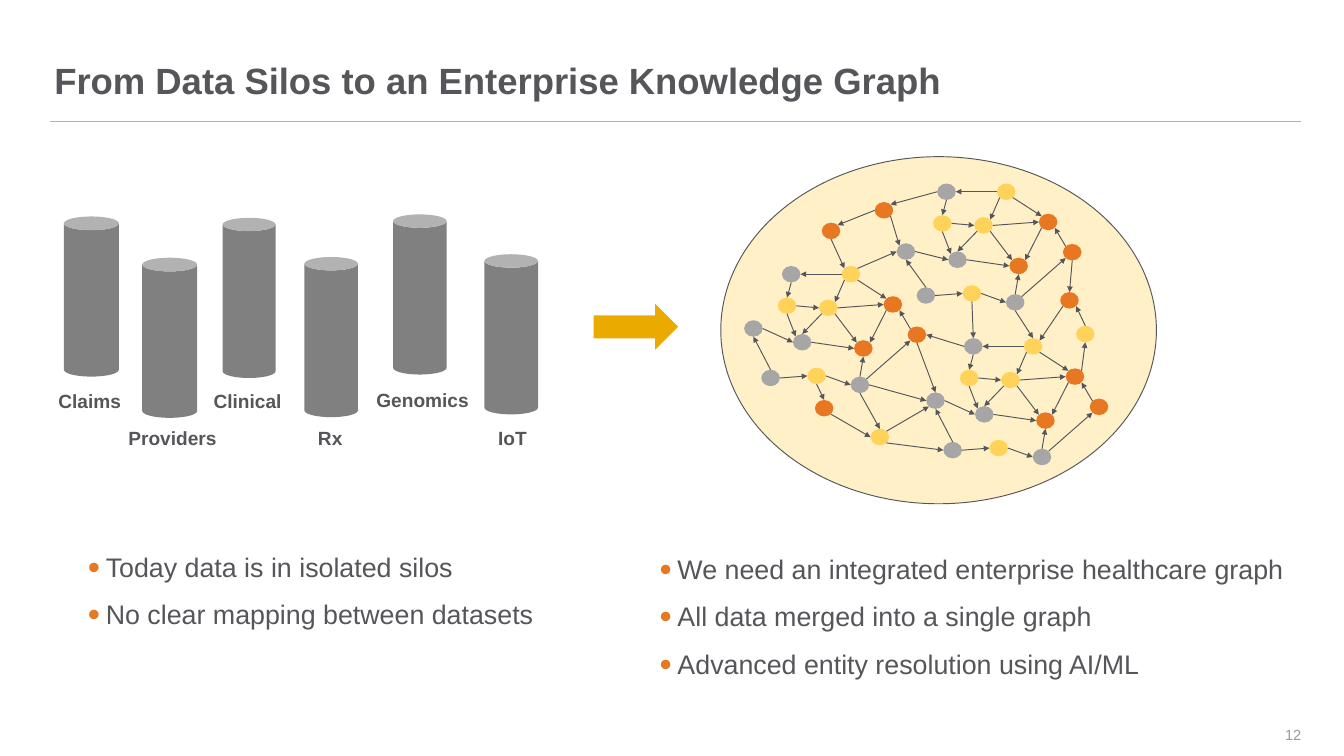
import lxml.etree
import pptx
import pptx.dml.color
import pptx.enum.shapes
import pptx.enum.text
import pptx.oxml.ns
import pptx.util
from pptx.util import Inches

SHAPE = pptx.enum.shapes.MSO_SHAPE
ALIGN = pptx.enum.text.PP_ALIGN
ANCHOR = pptx.enum.text.MSO_ANCHOR

FONT = "Arial"
INK, RULE, PAGE_GRAY = "55565A", "B1B3B3", "999A9B"
ORANGE, YELLOW, GRAY = "E87722", "FFD259", "A6A6A6"
NODE_W, NODE_H = 0.27, 0.24

# Left, top, width, label, label left, label top, label width
SILOS = [
    (0.93, 3.15, 0.80, "Claims", 0.75, 5.62, 1.12),
    (2.07, 3.75, 0.80, "Providers", 1.77, 6.16, 1.50),
    (3.24, 3.17, 0.77, "Clinical", 3.01, 5.62, 1.20),
    (4.43, 3.74, 0.78, "Rx", 4.53, 6.16, 0.56),
    (5.72, 3.12, 0.78, "Genomics", 5.38, 5.60, 1.56),
    (7.05, 3.70, 0.78, "IoT", 7.15, 6.16, 0.62),
]

# The graph repeats one cluster three times; members are placed from its hub.
HUBS = {"west": (12.25, 3.87), "north": (14.51, 2.67), "south": (14.90, 4.92)}
CLUSTER_NODES = {
    "hub": (0, 0, YELLOW),
    "right": (0.61, 0.44, ORANGE),
    "middle": (-0.33, 0.49, YELLOW),
    "low": (0.18, 1.08, ORANGE),
    "inner": (-0.71, 0.99, GRAY),
    "base": (-0.50, 1.48, YELLOW),
    "far": (0.96, 0.88, ORANGE),
    "bottom": (0.13, 1.61, GRAY),
    "top": (-0.87, 0, GRAY),
    "side": (-0.93, 0.46, YELLOW),
    "left": (-1.42, 0.79, GRAY),
    "corner": (-1.17, 1.51, GRAY),
}
# Start node, side it leaves from, end node, side it arrives at
CLUSTER_EDGES = [
    "hub se right nw", "hub sw middle ne", "hub w top e",
    "middle se low nw", "middle e right w", "middle sw inner n",
    "right sw low ne", "inner e low w", "bottom n low s",
    "bottom ne far sw", "far nw right se", "base e bottom w",
    "left e inner w", "side e middle w", "side s inner nw",
    "top s side n", "corner e base w", "corner n left s",
]
OTHER_NODES = {
    "north.left": (13.05, 3.54, GRAY),
    "gold": (12.67, 6.24, YELLOW),
    "lower": (11.86, 5.82, ORANGE),
    "east": (15.43, 4.25, ORANGE),
    "outer": (15.66, 4.74, YELLOW),
    "upper": (12.73, 2.94, ORANGE),
    "rim": (11.96, 3.24, ORANGE),
}
OTHER_EDGES = [
    "west.hub ne north.left w", "north.base s south.top n",
    "south.top w west.far e", "west.far s south.left n",
    "west.bottom e south.left w", "north.bottom s south.hub n",
    "west.base s lower n", "lower se gold w", "west.bottom s gold n",
    "gold ne south.left sw", "gold se south.corner w",
    "south.right ne outer s", "outer n east se", "east sw south.hub ne",
    "north.far s east n", "north.top w upper ne", "upper w rim ne",
    "upper se north.left nw", "rim s west.hub nw",
]


def color(hex_code):
    return pptx.dml.color.RGBColor.from_string(hex_code)


def add_xml(parent, tag, **attributes):
    child = lxml.etree.SubElement(parent, pptx.oxml.ns.qn(tag))
    for key, value in attributes.items():
        child.set(key, value)
    return child


def add_solid(slide, kind, box, fill, outline=None):
    solid = slide.shapes.add_shape(kind, *map(Inches, box))
    solid.shadow.inherit = False
    solid.fill.solid()
    solid.fill.fore_color.rgb = color(fill)
    if outline:
        solid.line.color.rgb = color(outline)
        solid.line.width = pptx.util.Pt(1)
    else:
        solid.line.fill.background()


def add_line(slide, start, end, ink, arrow=False):
    line = slide.shapes.add_connector(
        pptx.enum.shapes.MSO_CONNECTOR.STRAIGHT, *map(Inches, (*start, *end)))
    line.line.color.rgb = color(ink)
    line.line.width = pptx.util.Pt(1)
    if arrow:
        add_xml(line.line._get_or_add_ln(), "a:tailEnd", type="triangle")
    add_xml(line._element.spPr, "a:effectLst")


def add_bullet(paragraph):
    properties = paragraph._p.get_or_add_pPr()
    properties.set("marL", str(Inches(0.26)))
    properties.set("indent", str(Inches(-0.26)))
    add_xml(add_xml(properties, "a:buClr"), "a:srgbClr", val=ORANGE)
    add_xml(properties, "a:buSzPct", val="130000")
    add_xml(properties, "a:buFont", typeface=FONT)
    add_xml(properties, "a:buChar", char="•")


def add_text(slide, box, lines, size, ink=INK, bold=False, align=ALIGN.LEFT,
             anchor=ANCHOR.TOP, spacing=None, bullets=False, label=False):
    """Add a text box; a label keeps its insets and does not wrap."""
    frame = slide.shapes.add_textbox(*map(Inches, box)).text_frame
    frame.word_wrap = not label
    frame.vertical_anchor = anchor
    if not label:
        frame.margin_left = frame.margin_right = 0
        frame.margin_top = frame.margin_bottom = 0
    for index, line in enumerate(lines):
        paragraph = frame.add_paragraph() if index else frame.paragraphs[0]
        paragraph.text = line
        paragraph.alignment = align
        if spacing:
            paragraph.line_spacing = spacing
        if bullets:
            if index:
                paragraph.space_before = pptx.util.Pt(10.2)
            paragraph.space_after = pptx.util.Pt(7.7)
            add_bullet(paragraph)
        paragraph.font.name = FONT
        paragraph.font.size = pptx.util.Pt(size)
        paragraph.font.bold = bold
        paragraph.font.color.rgb = color(ink)


def edge_point(node, side):
    """Point on a node's rim in a compass direction."""
    across = ("e" in side) - ("w" in side)
    down = ("s" in side) - ("n" in side)
    reach = 0.5 / len(side) ** 0.5
    return (node[0] + NODE_W * (0.5 + reach * across),
            node[1] + NODE_H * (0.5 + reach * down))


def add_graph(slide):
    nodes, edges = {}, [edge.split() for edge in OTHER_EDGES]
    for cluster, (hub_x, hub_y) in HUBS.items():
        for name, (dx, dy, fill) in CLUSTER_NODES.items():
            nodes[f"{cluster}.{name}"] = (hub_x + dx, hub_y + dy, fill)
        for edge in CLUSTER_EDGES:
            start, leave, end, arrive = edge.split()
            edges.append((f"{cluster}.{start}", leave, f"{cluster}.{end}", arrive))
    nodes.update(OTHER_NODES)

    add_solid(slide, SHAPE.OVAL, (10.49, 2.28, 6.34, 5.05), "FFF0C8", INK)
    for x, y, fill in nodes.values():
        add_solid(slide, SHAPE.OVAL, (x, y, NODE_W, NODE_H), fill)
    for start, leave, end, arrive in edges:
        add_line(slide, edge_point(nodes[start], leave),
                 edge_point(nodes[end], arrive), INK, arrow=True)


def add_silos(slide):
    for left, top, width, name, label_left, label_top, label_width in SILOS:
        add_solid(slide, SHAPE.CAN, (left, top, width, 2.33), "808080")
        add_text(slide, (label_left, label_top, label_width, 0.44), [name], 20,
                 bold=True, label=True)


def main():
    deck = pptx.Presentation()
    deck.slide_width, deck.slide_height = Inches(19.56), Inches(11)
    slide = deck.slides.add_slide(deck.slide_layouts[6])

    add_line(slide, (0.73, 1.77), (18.94, 1.77), RULE)
    add_text(slide, (0.79, 0.51, 18.15, 0.98),
             ["From Data Silos to an Enterprise Knowledge Graph"], 38.2,
             bold=True, anchor=ANCHOR.BOTTOM, spacing=0.9)
    add_silos(slide)
    add_solid(slide, SHAPE.RIGHT_ARROW, (8.64, 4.42, 1.23, 0.67), "EAAA00")
    add_graph(slide)
    add_text(slide, (1.28, 8.04, 6.77, 1.06),
             ["Today data is in isolated silos",
              "No clear mapping between datasets"],
             28.1, spacing=0.95, bullets=True)
    add_text(slide, (9.6, 8.07, 9.25, 2.03),
             ["We need an integrated enterprise healthcare graph",
              "All data merged into a single graph",
              "Advanced entity resolution using AI/ML"],
             28.1, spacing=0.95, bullets=True)
    add_text(slide, (18.07, 10.4, 0.87, 0.59), ["12"], 15.3, PAGE_GRAY,
             align=ALIGN.RIGHT, anchor=ANCHOR.MIDDLE)
    deck.save("out.pptx")


if __name__ == "__main__":
    main()
